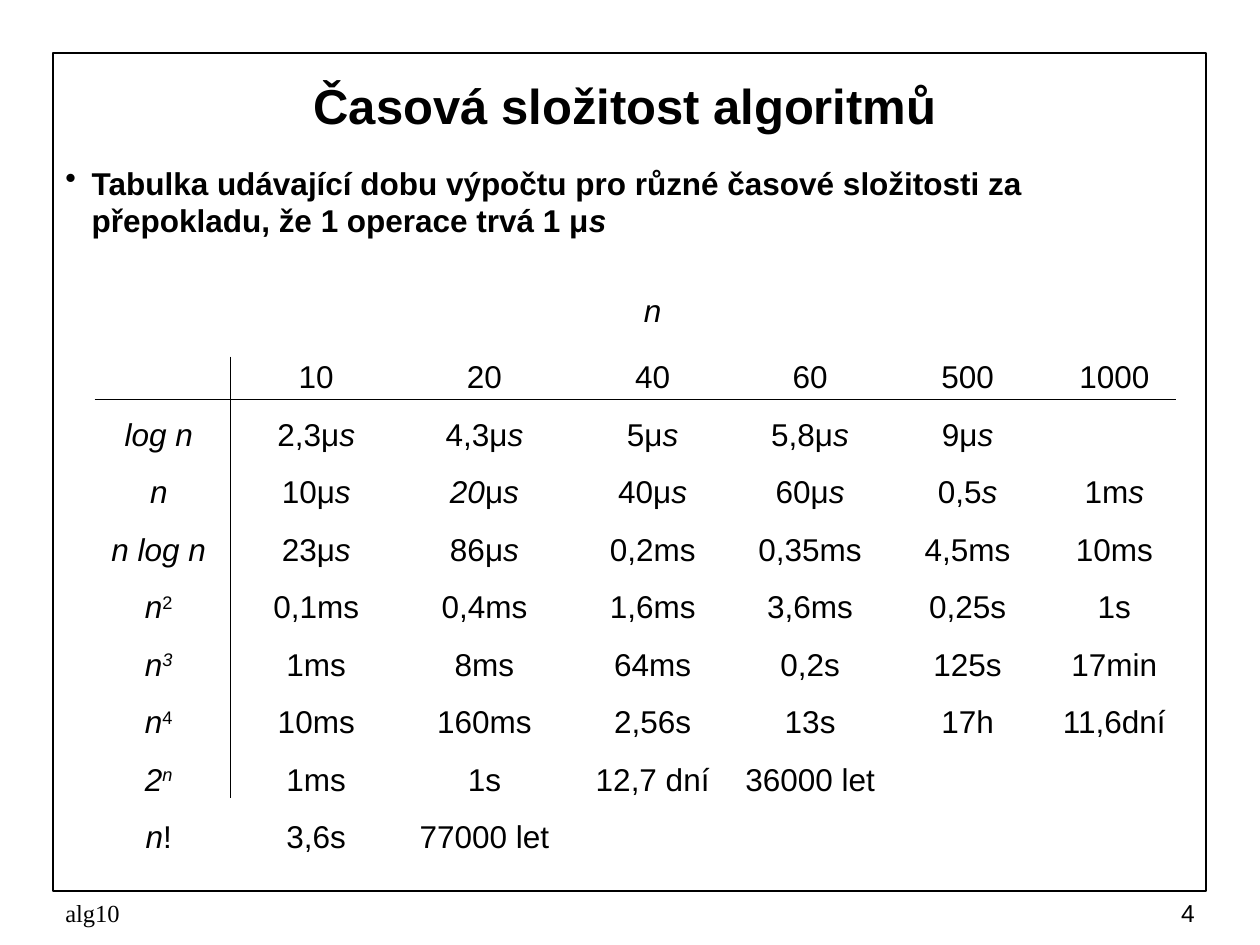
"""Build the slide with the table of running times for common time complexities."""
from dataclasses import dataclass

from lxml import etree
from pptx import Presentation
from pptx.dml.color import RGBColor
from pptx.enum.shapes import MSO_CONNECTOR, MSO_SHAPE
from pptx.enum.text import MSO_ANCHOR, PP_ALIGN
from pptx.oxml.ns import qn
from pptx.util import Inches, Pt

LEFT, CENTER, RIGHT = PP_ALIGN.LEFT, PP_ALIGN.CENTER, PP_ALIGN.RIGHT
TOP, MIDDLE = MSO_ANCHOR.TOP, MSO_ANCHOR.MIDDLE
RECT, STRAIGHT = MSO_SHAPE.RECTANGLE, MSO_CONNECTOR.STRAIGHT


@dataclass(frozen=True)
class Theme:
    ink: RGBColor = RGBColor(0, 0, 0)
    sans: str = "Arial"
    serif: str = "Times New Roman"
    title: int = 28
    body: int = 18
    footer: int = 14


T = Theme()


def add_runs(p, text, size=T.body, font=T.sans, bold=False):
    """Add runs split at |, where a leading _ means italic and ^ superscript."""
    for part in text.split("|"):
        r = p.add_run()
        r.text = part.lstrip("_^")
        mark = part[:len(part) - len(r.text)]
        r.font.name, r.font.size = font, Pt(size)
        r.font.bold, r.font.italic = bold, "_" in mark
        r.font.color.rgb = T.ink
        if "^" in mark:
            r.font._element.set("baseline", "30000")


def add_text(s, box, text, align=LEFT, anchor=MIDDLE, **style):
    """Add a wrapped text box and return its text frame."""
    tf = s.shapes.add_textbox(*map(Inches, box)).text_frame
    tf.word_wrap, tf.vertical_anchor = True, anchor
    p = tf.paragraphs[0]
    p.alignment = align
    add_runs(p, text, **style)
    return tf


prs = Presentation()
prs.slide_width, prs.slide_height = Inches(10), Inches(7.5)
s = prs.slides.add_slide(prs.slide_layouts[6])

frame = s.shapes.add_shape(RECT, Inches(0.42), Inches(0.42), Inches(9.15), Inches(6.65))
frame.shadow.inherit = False
frame.fill.background()
frame.line.color.rgb = T.ink
frame.line.width = Pt(1)

add_text(s, (0.5, 0.5, 8.92, 0.67), "Časová složitost algoritmů", CENTER,
         size=T.title, bold=True)

tf = add_text(
    s, (0.42, 1.25, 9.17, 5.83),
    "Tabulka udávající dobu výpočtu pro různé časové složitosti za "
    "přepokladu, že 1 operace trvá 1 μ|_s", anchor=TOP, bold=True)
p = tf.paragraphs[0]
p.space_before = Pt(4.5)
pPr = p._p.get_or_add_pPr()
pPr.set("marL", str(Inches(0.21)))
pPr.set("indent", str(-Inches(0.21)))
etree.SubElement(pPr, qn("a:buChar")).set("char", "•")

p = tf.add_paragraph()
p.alignment = CENTER
p.space_before = Pt(29.7)
p._p.get_or_add_pPr().set("marL", str(Inches(0.35)))
add_runs(p, "_n")

rows = [
    ["", "10", "20", "40", "60", "500", "1000"],
    ["_log n", "2,3μ|_s", "4,3μ|_s", "5μ|_s", "5,8μ|_s", "9μ|_s", ""],
    ["_n", "10μ|_s", "_20|μ|_s", "40μ|_s", "60μ|_s", "0,5|_s", "1m|_s"],
    ["_n log n", "23μ|_s", "86μ|_s", "0,2ms", "0,35ms", "4,5ms", "10ms"],
    ["_n|^2", "0,1ms", "0,4ms", "1,6ms", "3,6ms", "0,25s", "1s"],
    ["_n|_^3", "1ms", "8ms", "64ms", "0,2s", "125s", "17min"],
    ["_n|^4", "10ms", "160ms", "2,56s", "13s", "17h", "11,6dní"],
    ["_2|_^n", "1ms", "1s", "12,7 dní", "36000 let", "", ""],
    ["_n|!", "3,6s", "77000 let", "", "", "", ""],
]
widths = [1.14, 1.36, 1.31, 1.36, 1.14, 1.36, 0.97]
table = s.shapes.add_table(len(rows), len(widths), Inches(0.69), Inches(2.77),
                           Inches(sum(widths)), Inches(4.11)).table
table.first_row = table.horz_banding = False
for column, width in zip(table.columns, widths):
    column.width = Inches(width)
for i, row in enumerate(rows):
    for j, value in enumerate(row):
        cell = table.cell(i, j)
        cell.fill.background()
        cell.vertical_anchor = MIDDLE
        cell.margin_left = cell.margin_right = cell.margin_top = cell.margin_bottom = 0
        p = cell.text_frame.paragraphs[0]
        p.alignment = CENTER
        if value:
            add_runs(p, value)

for ends in [(0.75, 3.17, 9.33, 3.17), (1.83, 2.83, 1.83, 6.33)]:
    rule = s.shapes.add_connector(STRAIGHT, *map(Inches, ends))
    rule.line.color.rgb = T.ink
    rule.line.width = Pt(0.75)
    etree.SubElement(rule._element.spPr, qn("a:effectLst"))

add_text(s, (0.42, 7.08, 3.17, 0.33), "alg10", size=T.footer, font=T.serif)
add_text(s, (7.5, 7.08, 2.08, 0.33), "4", RIGHT, size=T.footer)

prs.save("out.pptx")
